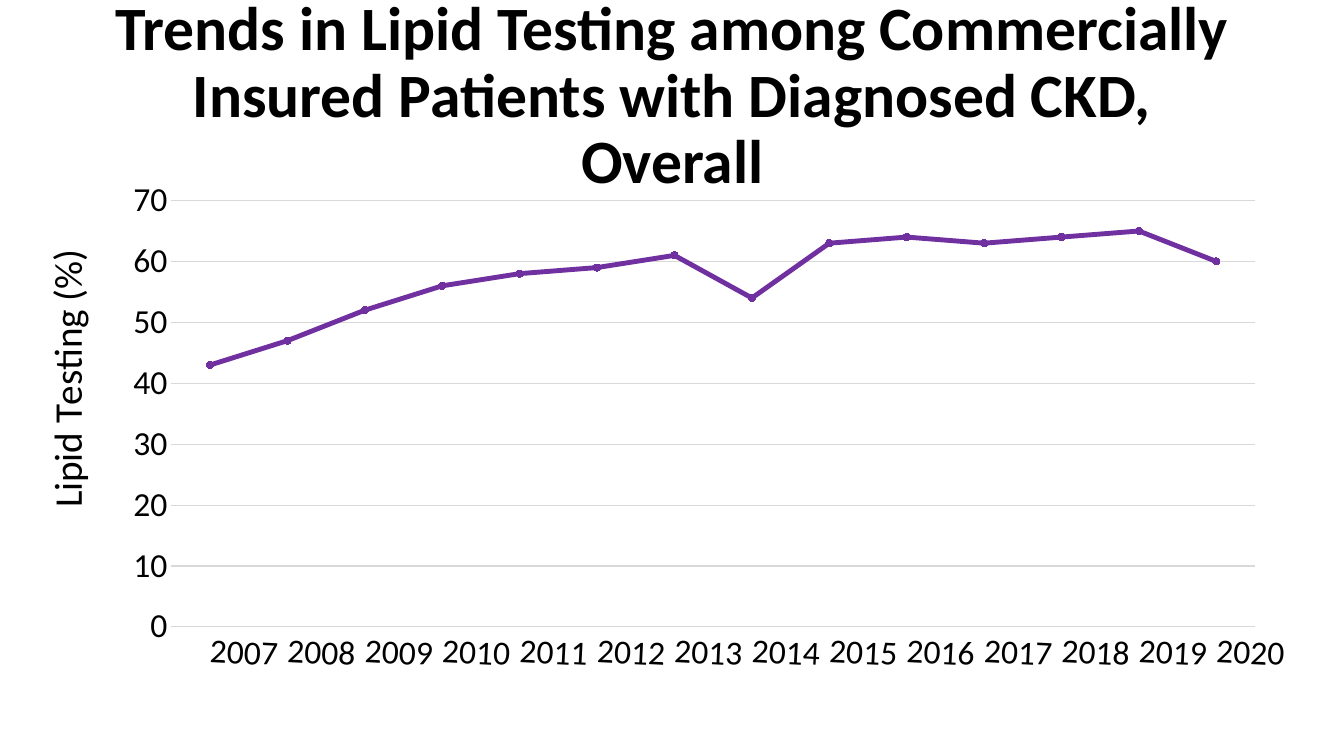
from dataclasses import dataclass

from lxml import etree
from pptx import Presentation
from pptx import util as u
from pptx.chart.data import CategoryChartData
from pptx.dml.color import RGBColor
from pptx.enum import chart as ch, text
from pptx.oxml import ns


@dataclass(frozen=True)
class Theme:
    """Colours, font and type sizes of the slide."""
    font: str = "Calibri"
    ink: RGBColor = RGBColor(0, 0, 0)
    grid: RGBColor = RGBColor(0xD9, 0xD9, 0xD9)
    trend: RGBColor = RGBColor(0x70, 0x30, 0xA0)
    title: int = 44
    axis_title: int = 28
    tick: int = 24
    base: int = 10


class TrendSlide:
    """Draws a heading and a trend chart in one theme."""

    def __init__(self, prs, theme):
        self.theme = theme
        self.slide = prs.slides.add_slide(prs.slide_layouts[6])

    def style(self, font, size, bold=False):
        """Apply the theme font at a given size."""
        font.name, font.size, font.bold = self.theme.font, u.Pt(size), bold
        font.color.rgb = self.theme.ink

    def heading(self, wording, x, y, w, h):
        """Add the centred slide heading."""
        sp = self.slide.shapes.add_textbox(*map(u.Inches, (x, y, w, h)))
        tf = sp.text_frame
        tf.text = wording
        tf.word_wrap = True
        tf.vertical_anchor = text.MSO_ANCHOR.MIDDLE
        p = tf.paragraphs[0]
        p.alignment = text.PP_ALIGN.CENTER
        p.line_spacing = 0.9
        self.style(p.runs[0].font, self.theme.title, bold=True)

    def place(self, layout, frame, **inches):
        """Fix a chart part at inches from the frame corner."""
        manual = etree.SubElement(layout, ns.qn("c:manualLayout"))
        if "w" in inches:
            etree.SubElement(manual, ns.qn("c:layoutTarget"), val="inner")
        for side in "xy":
            etree.SubElement(manual, ns.qn(f"c:{side}Mode"), val="edge")
        for name, value in inches.items():
            whole = frame.width if name in "xw" else frame.height
            share = u.Inches(value) / whole
            etree.SubElement(manual, ns.qn(f"c:{name}"), val=f"{share:.4f}")

    def trend_chart(self, years, values, label, x, y, w, h):
        """Add the line chart with its axes."""
        data = CategoryChartData(number_format="0")
        data.categories = years
        data.add_series("Series 1", values)
        frame = self.slide.shapes.add_chart(
            ch.XL_CHART_TYPE.LINE_MARKERS,
            *map(u.Inches, (x, y, w, h)), data)
        chart = frame.chart
        chart.has_legend = chart.has_title = False
        self.style(chart.font, self.theme.base)
        self.category_axis(chart.category_axis)
        self.value_axis(chart.value_axis, label, frame)
        plot = chart.plots[0]
        plot.vary_by_categories = False
        self.trend_line(plot.series[0])
        plot_area = plot._element.getparent()
        layout = plot_area.find(ns.qn("c:layout"))
        if layout is None:
            layout = etree.Element(ns.qn("c:layout"))
            plot_area.insert(0, layout)
        self.place(layout, frame, x=1.37, y=0.3, w=10.75, h=4.23)

    def plain_ticks(self, axis):
        """Set tick labels in the theme and hide tick marks."""
        axis.major_tick_mark = axis.minor_tick_mark = ch.XL_TICK_MARK.NONE
        self.style(axis.tick_labels.font, self.theme.tick)

    def grid_line(self, line):
        """Give a line the thin grid look."""
        line.color.rgb = self.theme.grid
        line.width = u.Pt(0.75)

    def category_axis(self, axis):
        """Style the year axis with every label slightly turned."""
        self.plain_ticks(axis)
        self.grid_line(axis.format.line)
        body = axis._element.find(ns.qn("c:txPr")).find(ns.qn("a:bodyPr"))
        body.set("rot", "180000")
        body.set("vert", "horz")
        skip = etree.Element(ns.qn("c:tickLblSkip"), val="1")
        axis._element.find(ns.qn("c:noMultiLvlLbl")).addprevious(skip)

    def value_axis(self, axis, label, frame):
        """Style the percentage axis and its title."""
        self.plain_ticks(axis)
        axis.minimum_scale, axis.maximum_scale, axis.major_unit = 0, 70, 10
        axis.tick_labels.number_format = "0"
        axis.tick_labels.number_format_is_linked = False
        axis.format.line.fill.background()
        self.grid_line(axis.major_gridlines.format.line)
        tf = axis.axis_title.text_frame
        tf.text = label
        self.style(tf.paragraphs[0].runs[0].font, self.theme.axis_title)
        body = tf._txBody.find(ns.qn("a:bodyPr"))
        body.set("rot", "-5400000")
        body.set("vert", "horz")
        title = axis.axis_title._element
        layout = title.find(ns.qn("c:layout"))
        if layout is None:
            layout = etree.Element(ns.qn("c:layout"))
            title.find(ns.qn("c:tx")).addnext(layout)
        self.place(layout, frame, x=-0.05, y=0.72)

    def trend_line(self, series):
        """Style the series line and its round markers."""
        series.smooth = False
        series.format.line.color.rgb = self.theme.trend
        series.format.line.width = u.Pt(3.5)
        marker = series.marker
        marker.style, marker.size = ch.XL_MARKER_STYLE.CIRCLE, 5
        marker.format.fill.solid()
        marker.format.fill.fore_color.rgb = self.theme.trend
        marker.format.line.color.rgb = self.theme.trend


def main():
    """Build and save the slide."""
    prs = Presentation()
    prs.slide_width, prs.slide_height = u.Inches(13.33), u.Inches(7.5)
    s = TrendSlide(prs, Theme())
    s.heading("Trends in Lipid Testing among Commercially Insured Patients "
              "with Diagnosed CKD, Overall", 0.92, 0.24, 11.5, 1.45)
    s.trend_chart([str(year) for year in range(2007, 2021)],
                  [43, 47, 52, 56, 58, 59, 61, 54, 63, 64, 63, 64, 65, 60],
                  "Lipid Testing (%)", 0.33, 1.69, 12.68, 5.14)
    prs.save("out.pptx")


if __name__ == "__main__":
    main()
